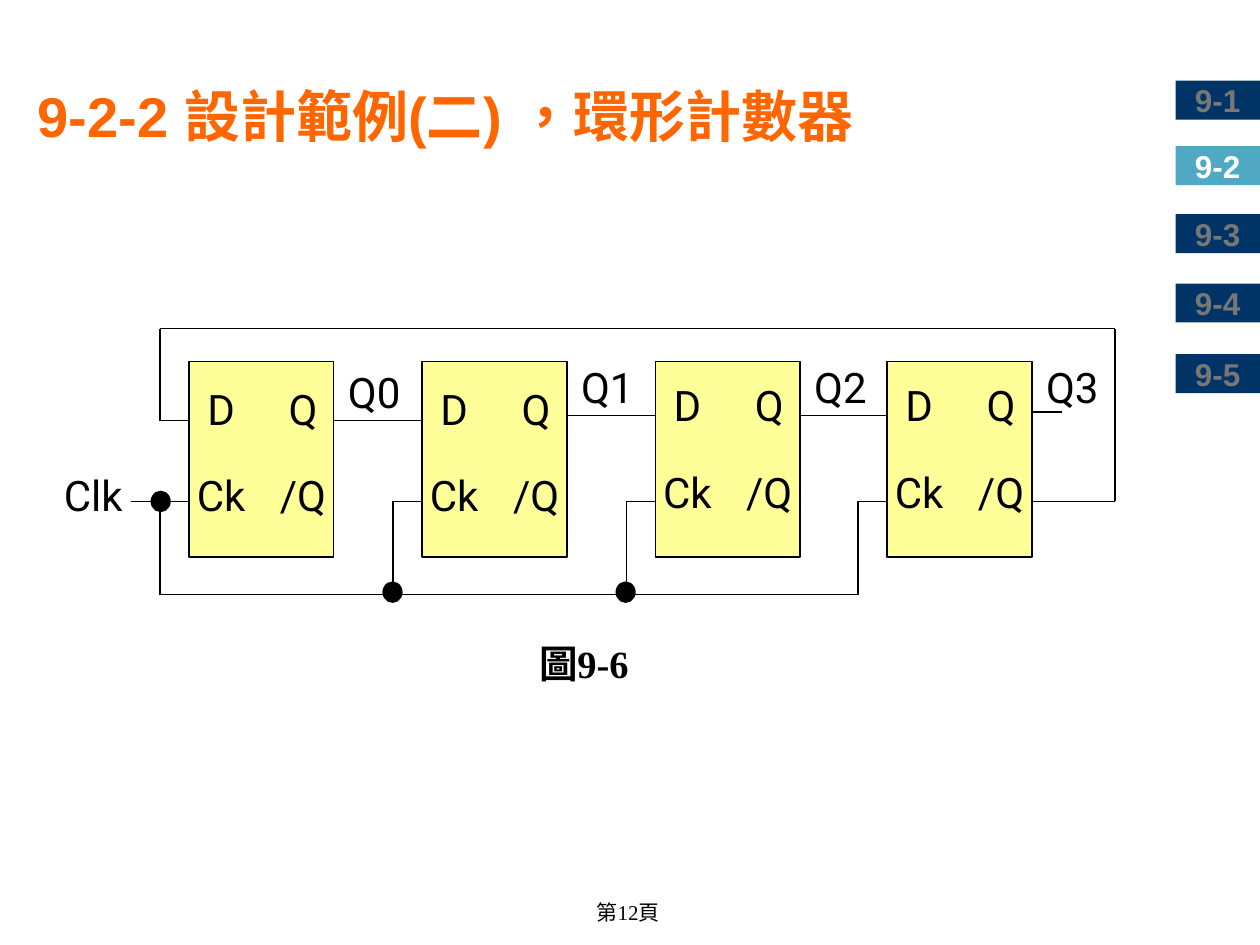
from lxml import etree
from pptx import Presentation
from pptx.dml.color import RGBColor
from pptx.enum.lang import MSO_LANGUAGE_ID as Language
from pptx.enum.shapes import MSO_CONNECTOR as Connector, MSO_SHAPE as Shape
from pptx.enum.text import MSO_ANCHOR as Anchor, PP_ALIGN as Align
from pptx.oxml.ns import qn
from pptx.util import Inches, Pt

BLACK = RGBColor(0, 0, 0)
WHITE = RGBColor(255, 255, 255)
ORANGE = RGBColor(0xFF, 0x66, 0x00)
NAVY = RGBColor(0x00, 0x33, 0x66)
TEAL = RGBColor(0x4F, 0xA9, 0xC5)
GRAY = RGBColor(0x77, 0x77, 0x77)
YELLOW = RGBColor(0xFF, 0xFF, 0x99)

deck = Presentation()
deck.slide_width, deck.slide_height = Inches(10), Inches(7.5)
page = deck.slides.add_slide(deck.slide_layouts[6])


def add_text(text, left, top, width, height, size=24, font="Roboto",
             color=BLACK, bold=False, align=Align.CENTER, wrap=True, inset=0):
    box = page.shapes.add_textbox(Inches(left), Inches(top), Inches(width), Inches(height))
    frame = box.text_frame
    frame.word_wrap = wrap
    frame.margin_left = frame.margin_right = Inches(inset)
    frame.margin_top = frame.margin_bottom = Inches(inset / 2)
    frame.text = text
    para = frame.paragraphs[0]
    para.alignment = align
    run_font = para.runs[0].font
    run_font.name, run_font.size, run_font.bold = font, Pt(size), bold
    run_font.color.rgb = color
    run_font.language_id = Language.TRADITIONAL_CHINESE


def add_solid(kind, left, top, width, height, fill, outlined=True):
    solid = page.shapes.add_shape(kind, Inches(left), Inches(top), Inches(width), Inches(height))
    solid.shadow.inherit = False
    solid.fill.solid()
    solid.fill.fore_color.rgb = fill
    if outlined:
        solid.line.color.rgb = BLACK
        solid.line.width = Pt(0.75)
    else:
        solid.line.fill.background()
    return solid


# Page number and chapter tabs
add_text("第12頁", 4.35, 7.09, 1.27, 0.3, size=12, font="Times New Roman", wrap=False, inset=0.1)
for number, top in enumerate((0.64, 1.16, 1.7, 2.25, 2.81), start=1):
    current = number == 2
    tab = add_solid(Shape.RECTANGLE, 9.33, top, 0.67, 0.31, TEAL if current else NAVY, outlined=False)
    tab.text_frame.text = f"9-{number}"
    tab.text_frame.word_wrap = False
    tab.text_frame.vertical_anchor = Anchor.MIDDLE
    para = tab.text_frame.paragraphs[0]
    para.alignment = Align.CENTER
    tab_font = para.runs[0].font
    tab_font.name, tab_font.size, tab_font.bold = "Arial", Pt(18), True
    tab_font.color.rgb = WHITE if current else GRAY

# Title and caption
add_text("9-2-2 設計範例(二) ，環形計數器", 0.2, 0.6, 9.04, 6.38, size=32, font="Arial",
         color=ORANGE, bold=True, align=Align.LEFT, inset=0.1)
add_text("圖9-6", 4.18, 5.03, 1.1, 0.47, size=22, font="Times New Roman", bold=True,
         align=Align.LEFT, inset=0.1)

# Flip-flops: left edge, top of the D/Q row, top of the output label
flip_flops = [(1.5, 3.04, 2.91), (3.35, 3.04, 2.87), (5.2, 3.01, 2.87), (7.04, 3.01, 2.87)]
for index, (left, row_top, output_top) in enumerate(flip_flops):
    add_solid(Shape.RECTANGLE, left, 2.87, 1.15, 1.55, YELLOW)
    for row, pins in enumerate((("D", "Q"), ("Ck", "/Q"))):
        for column, pin in enumerate(pins):
            add_text(pin, left + 0.65 * column, row_top + 0.69 * row, 0.51, 0.69)
    add_text(f"Q{index}", left + 1.16, output_top, 0.62, 0.4)
add_text("Clk", 0.43, 3.73, 0.62, 0.62)

# Wires
CLOCK_Y, BUS_Y, FEEDBACK_Y = 3.98, 4.72, 2.61
FIRST_X, FEEDBACK_X = 1.27, 8.85
wires = [
    (2.65, 3.34, 3.35, 3.34),
    (4.5, 3.3, 5.2, 3.3),
    (6.35, 3.3, 7.04, 3.3),
    (8.19, 3.27, 8.43, 3.27),
    (8.19, CLOCK_Y, FEEDBACK_X, CLOCK_Y),
    (FEEDBACK_X, FEEDBACK_Y, FEEDBACK_X, CLOCK_Y),
    (FIRST_X, FEEDBACK_Y, FEEDBACK_X, FEEDBACK_Y),
    (FIRST_X, FEEDBACK_Y, FIRST_X, 3.34),
    (FIRST_X, 3.34, 1.5, 3.34),
    (1.04, CLOCK_Y, 1.5, CLOCK_Y),
    (FIRST_X, CLOCK_Y, FIRST_X, BUS_Y),
    (FIRST_X, BUS_Y, 6.81, BUS_Y),
]
for left, _, _ in flip_flops[1:]:
    branch_x = left - 0.23
    wires += [(branch_x, CLOCK_Y, left, CLOCK_Y), (branch_x, CLOCK_Y, branch_x, BUS_Y)]
for ends in wires:
    wire = page.shapes.add_connector(Connector.STRAIGHT, *[Inches(end) for end in ends])
    wire.line.color.rgb = BLACK
    wire.line.width = Pt(0.75)
    etree.SubElement(wire._element.spPr, qn("a:effectLst"))

# Clock junctions
for left, top in ((1.2, 3.9), (3.04, 4.62), (4.89, 4.62)):
    add_solid(Shape.OVAL, left, top, 0.15, 0.16, BLACK)

deck.save("out.pptx")
